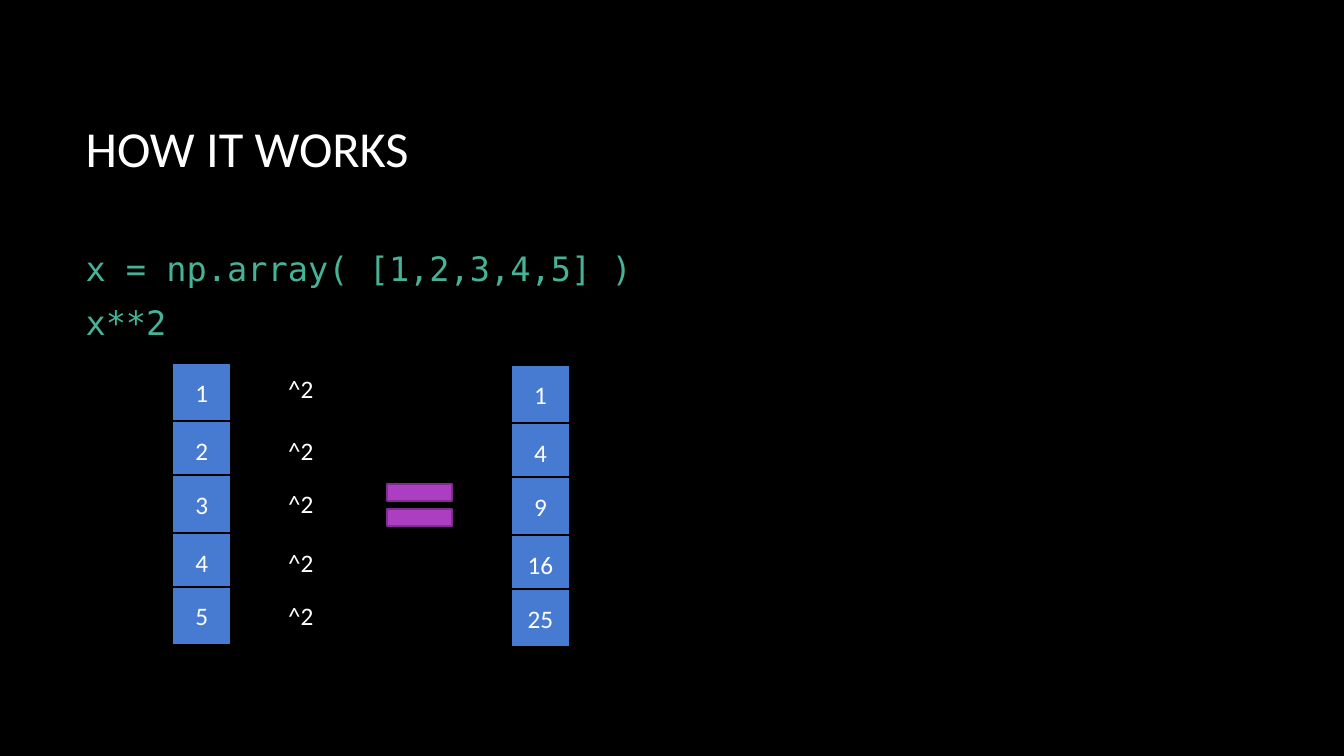
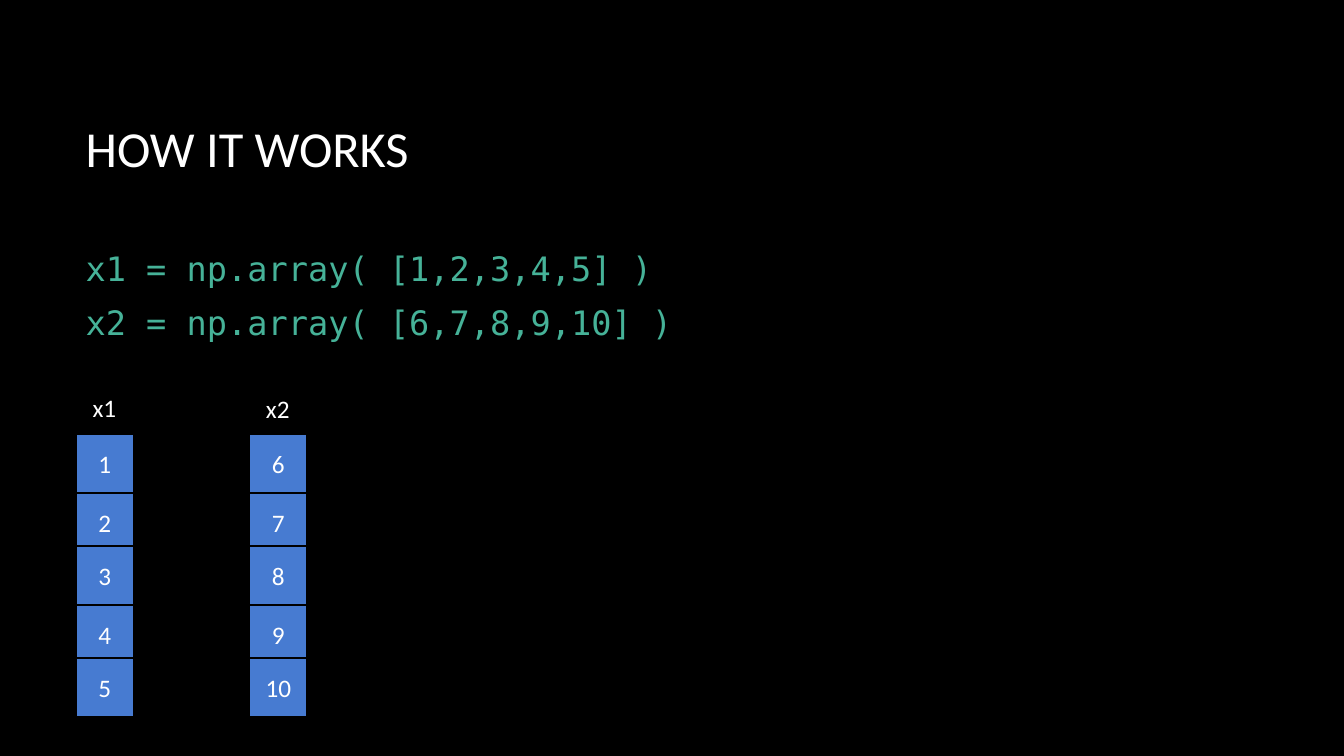
import pptx
import pptx.dml.color
import pptx.enum.shapes
import pptx.enum.text
import pptx.util

Inches = pptx.util.Inches
Pt = pptx.util.Pt
RGBColor = pptx.dml.color.RGBColor
Align = pptx.enum.text.PP_ALIGN
Anchor = pptx.enum.text.MSO_ANCHOR
AutoSize = pptx.enum.text.MSO_AUTO_SIZE
Shape = pptx.enum.shapes.MSO_SHAPE

BLACK = RGBColor(0x00, 0x00, 0x00)
WHITE = RGBColor(0xFF, 0xFF, 0xFF)
BLUE = RGBColor(0x47, 0x7B, 0xD1)
GREEN = RGBColor(0x46, 0xB2, 0x98)
PURPLE = RGBColor(0xAC, 0x3E, 0xC1)
DARK_PURPLE = RGBColor(0x7F, 0x2E, 0x8F)

TITLE_FONT = {"name": "Calibri", "size": Pt(36), "color": WHITE}
CODE_FONT = {"name": "DejaVu Sans Mono", "size": Pt(24), "color": GREEN}
LABEL_FONT = {"name": "Calibri", "size": Pt(18), "color": WHITE}

LEFT = 0.75
TEXT_WIDTH = 11.08
CELL = 0.58
CELL_OFFSETS = (0, 0.58, 1.11, 1.69, 2.22)
TITLE_ONLY = 5


def write(frame, lines, font, paragraph_format=None, **frame_format):
    """Fill a text frame, one paragraph for each line."""
    for name, value in frame_format.items():
        setattr(frame, name, value)
    for index, line in enumerate(lines):
        paragraph = frame.paragraphs[0] if index == 0 else frame.add_paragraph()
        for name, value in (paragraph_format or {}).items():
            setattr(paragraph, name, value)
        run = paragraph.add_run()
        run.text = line
        for name, value in font.items():
            if name == "color":
                run.font.color.rgb = value
            else:
                setattr(run.font, name, value)


def place(shape, left, top, width, height):
    box = {"left": left, "top": top, "width": width, "height": height}
    for name, value in box.items():
        setattr(shape, name, Inches(value))


def add_code_slide(presentation, title, code):
    slide = presentation.slides.add_slide(presentation.slide_layouts[TITLE_ONLY])
    place(slide.shapes.title, LEFT, 0.67, TEXT_WIDTH, 1.59)
    write(slide.shapes.title.text_frame, [title], TITLE_FONT,
          {"alignment": Align.LEFT},
          vertical_anchor=Anchor.MIDDLE, auto_size=AutoSize.NONE)
    code_box = slide.shapes.add_textbox(
        Inches(LEFT), Inches(2.34), Inches(TEXT_WIDTH), Inches(1.17))
    write(code_box.text_frame, code, CODE_FONT, {"space_after": Pt(10)},
          vertical_anchor=Anchor.MIDDLE, word_wrap=True)
    return slide


def add_filled_shape(slide, kind, left, top, width, height, fill, line):
    shape = slide.shapes.add_shape(
        kind, Inches(left), Inches(top), Inches(width), Inches(height))
    shape.shadow.inherit = False
    shape.fill.solid()
    shape.fill.fore_color.rgb = fill
    shape.line.color.rgb = line
    shape.line.width = Pt(1.5)
    return shape


def add_array(slide, left, top, values):
    """Stack one square cell for each array value."""
    for offset, value in zip(CELL_OFFSETS, values):
        cell = add_filled_shape(slide, Shape.RECTANGLE, left, top + offset,
                                CELL, CELL, BLUE, BLACK)
        write(cell.text_frame, [str(value)], LABEL_FONT,
              {"alignment": Align.CENTER}, vertical_anchor=Anchor.MIDDLE)


def add_label(slide, text, left, top, width):
    label = slide.shapes.add_textbox(
        Inches(left), Inches(top), Inches(width), Inches(0.4))
    write(label.text_frame, [text], LABEL_FONT,
          word_wrap=False, auto_size=AutoSize.SHAPE_TO_FIT_TEXT)


def add_square_slide(presentation):
    slide = add_code_slide(presentation, "HOW IT WORKS",
                           ["x = np.array( [1,2,3,4,5] )", "x**2"])
    numbers = range(1, 6)
    add_array(slide, 1.71, 3.6, numbers)
    for offset in CELL_OFFSETS:
        gap = 0.09 if offset else 0.05
        add_label(slide, "^2", 2.76, 3.6 + offset + gap, 0.46)
    add_filled_shape(slide, Shape.MATH_EQUAL, 3.72, 4.66, 0.88, 0.7,
                     PURPLE, DARK_PURPLE)
    add_array(slide, 5.07, 3.62, [number ** 2 for number in numbers])


def add_two_arrays_slide(presentation):
    slide = add_code_slide(
        presentation, "HOW IT WORKS",
        ["x1 = np.array( [1,2,3,4,5] )", "x2 = np.array( [6,7,8,9,10] )"])
    arrays = [("x1", LEFT, 3.84, range(1, 6)), ("x2", 2.47, 3.85, range(6, 11))]
    for name, left, label_top, values in arrays:
        add_array(slide, left, 4.31, values)
        add_label(slide, name, left + 0.07, label_top, 0.44)


def main():
    presentation = pptx.Presentation()
    presentation.slide_width = Inches(13.33)
    presentation.slide_height = Inches(7.5)
    background = presentation.slide_master.background.fill
    background.solid()
    background.fore_color.rgb = BLACK
    add_square_slide(presentation)
    add_two_arrays_slide(presentation)
    presentation.save("out.pptx")


if __name__ == "__main__":
    main()
